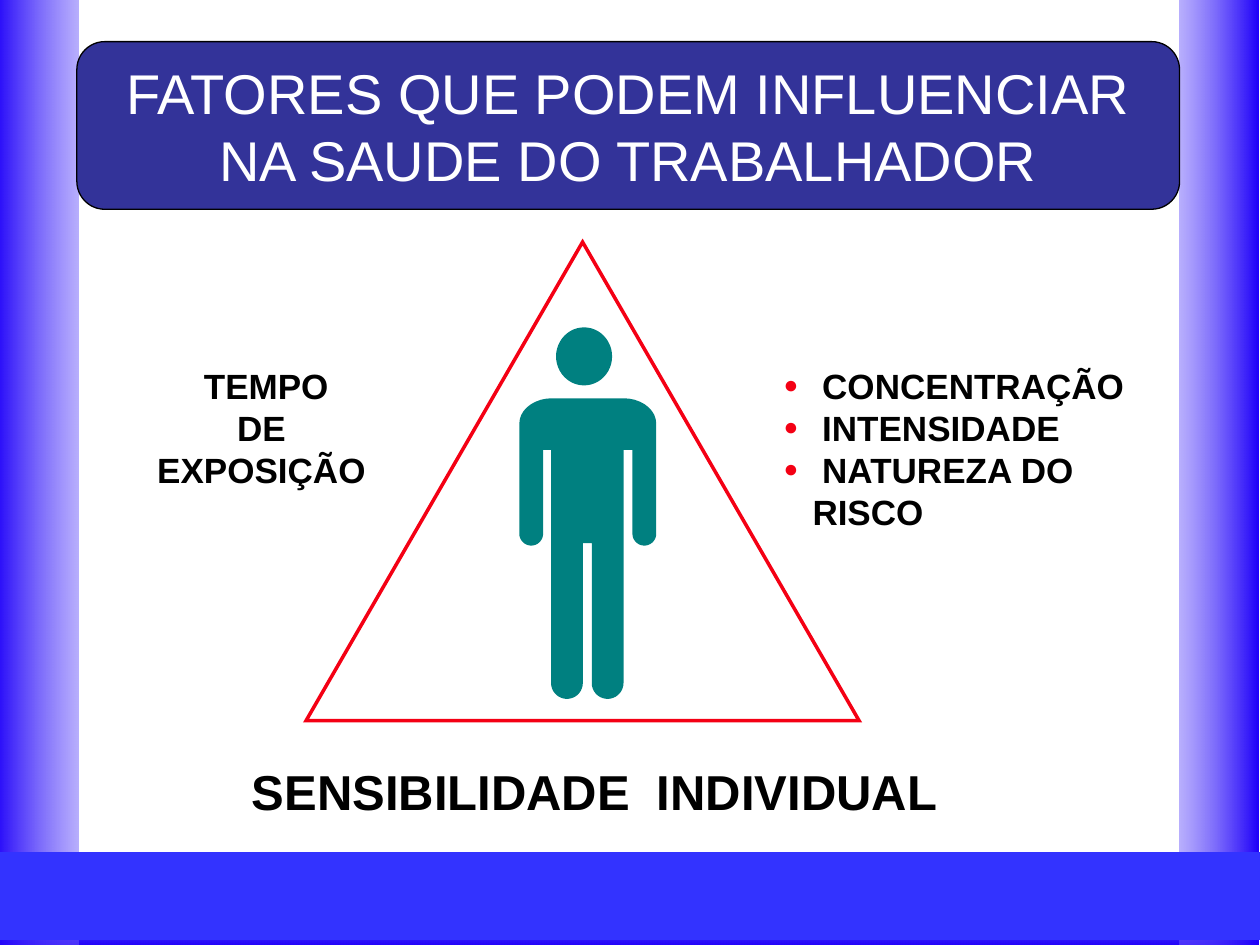
from dataclasses import dataclass
from math import cos, radians, sin

from lxml.etree import SubElement
from pptx import Presentation
from pptx.dml.color import RGBColor
from pptx.enum.shapes import MSO_CONNECTOR, MSO_SHAPE
from pptx.enum.text import MSO_ANCHOR, PP_ALIGN
from pptx.oxml.ns import qn
from pptx.util import Cm, Pt

COLORS = {
    "band": "1E00FA",
    "side_fade": "705DFC",
    "floor_fade": "8C7DFC",
    "footer": "3333FF",
    "title": "333399",
    "red": "F40014",
    "person": "008080",
    "black": "000000",
    "white": "FFFFFF",
}
FONT = "Arial"


@dataclass(frozen=True)
class Area:
    left: float
    top: float
    width: float
    height: float

    def lengths(self) -> tuple:
        return Cm(self.left), Cm(self.top), Cm(self.width), Cm(self.height)


@dataclass(frozen=True)
class Band:
    area: Area
    fade: str
    angle: int


@dataclass(frozen=True)
class Label:
    area: Area
    lines: tuple
    size: int
    align: PP_ALIGN = PP_ALIGN.LEFT
    bold: bool = True
    color: str = "black"
    bulleted: bool = False
    wrap: bool = False


@dataclass(frozen=True)
class Arc:
    x: float
    y: float
    radius_x: float
    radius_y: float
    start: int
    sweep: int

    def points(self) -> list:
        steps = self.sweep // 10
        angles = [radians(self.start + 10 * step) for step in range(steps + 1)]
        return [(self.x + self.radius_x * cos(angle), self.y + self.radius_y * sin(angle))
                for angle in angles]


def rgb(name: str) -> RGBColor:
    return RGBColor.from_string(COLORS[name])


def paint(shape, fill: str, line: str = "", width: float = 0) -> None:
    shape.shadow.inherit = False
    shape.fill.solid()
    shape.fill.fore_color.rgb = rgb(fill)
    if line:
        shape.line.color.rgb = rgb(line)
        shape.line.width = Pt(width)
        outline = shape.element.spPr.find(qn("a:ln"))
        SubElement(outline, qn("a:miter")).set("lim", "800000")
    else:
        shape.line.fill.background()


def add_band(page, band: Band) -> None:
    shape = page.shapes.add_shape(MSO_SHAPE.RECTANGLE, *band.area.lengths())
    paint(shape, "band")
    shape.fill.gradient()
    shape.fill.gradient_angle = band.angle
    first, last = shape.fill.gradient_stops
    first.color.rgb, first.position = rgb("band"), 0
    last.color.rgb, last.position = rgb(band.fade), 1
    last_color = shape.element.spPr.findall(".//" + qn("a:srgbClr"))[-1]
    SubElement(last_color, qn("a:alpha")).set("val", "49000")


def add_bullet(para) -> None:
    properties = para._p.get_or_add_pPr()
    properties.set("marL", str(Cm(0.58)))
    properties.set("indent", str(-Cm(0.58)))
    color = SubElement(properties, qn("a:buClr"))
    SubElement(color, qn("a:srgbClr")).set("val", COLORS["red"])
    SubElement(properties, qn("a:buSzPct")).set("val", "70000")
    SubElement(properties, qn("a:buFont")).set("typeface", FONT)
    SubElement(properties, qn("a:buChar")).set("char", "●")


def write(box, label: Label) -> None:
    frame = box.text_frame
    frame.word_wrap = label.wrap
    for index, line in enumerate(label.lines):
        para = frame.paragraphs[0] if index == 0 else frame.add_paragraph()
        para.alignment = label.align
        if label.bulleted:
            add_bullet(para)
        span = para.add_run()
        span.text = line
        span.font.name = FONT
        span.font.size = Pt(label.size)
        span.font.bold = label.bold
        span.font.color.rgb = rgb(label.color)


def add_label(page, label: Label) -> None:
    write(page.shapes.add_textbox(*label.area.lengths()), label)


def add_title(page, label: Label) -> None:
    box = page.shapes.add_shape(MSO_SHAPE.ROUNDED_RECTANGLE, *label.area.lengths())
    paint(box, "title", "black", 0.75)
    box.text_frame.vertical_anchor = MSO_ANCHOR.MIDDLE
    write(box, label)


def add_person(page) -> None:
    hand, foot = 0.24, 0.32
    left_shoulder = Arc(11.13, 8.54, 0.66, 0.51, 180, 90)
    right_shoulder = Arc(12.57, 8.54, 0.66, 0.51, 270, 90)
    right_hand = Arc(12.99, 10.76, hand, hand, 0, 180)
    right_foot = Arc(12.25, 13.77, foot, foot, 0, 180)
    left_foot = Arc(11.43, 13.77, foot, foot, 0, 180)
    left_hand = Arc(10.71, 10.76, hand, hand, 0, 180)
    outline = [
        *left_shoulder.points(), *right_shoulder.points(), *right_hand.points(),
        (12.75, 9.07), (12.57, 9.07), *right_foot.points(),
        (11.93, 10.95), (11.75, 10.95), *left_foot.points(),
        (11.11, 9.07), (10.95, 9.07), *left_hand.points(),
    ]
    start, *rest = [(Cm(x), Cm(y)) for x, y in outline]
    person = page.shapes.add_group_shape()
    builder = person.shapes.build_freeform(*start)
    builder.add_line_segments(rest, close=True)
    paint(builder.convert_to_shape(), "person")
    head = Area(11.21, 6.6, 1.13, 1.17)
    paint(person.shapes.add_shape(MSO_SHAPE.OVAL, *head.lengths()), "person")


def add_footer(page) -> None:
    footer = page.shapes.add_connector(
        MSO_CONNECTOR.STRAIGHT, Cm(0), Cm(18.06), Cm(25.4), Cm(18.06))
    footer.line.color.rgb = rgb("footer")
    footer.line.width = Pt(50)
    SubElement(footer.element.spPr, qn("a:effectLst"))


BANDS = (
    Band(Area(-0.02, 17.36, 25.4, 1.7), "floor_fade", 90),
    Band(Area(23.77, 0, 1.61, 19.05), "side_fade", 180),
    Band(Area(-0.12, 0, 1.71, 19.05), "side_fade", 0),
)
LABELS = (
    Label(Area(2.62, 7.22, 5.3, 2.79), (" TEMPO", "DE", "EXPOSIÇÃO"), 20, PP_ALIGN.CENTER),
    Label(Area(4.83, 15.22, 14.33, 1.42), ("SENSIBILIDADE  INDIVIDUAL",), 28),
    Label(Area(15.55, 7.22, 7.9, 2.79),
          (" CONCENTRAÇÃO", " INTENSIDADE", " NATUREZA DO RISCO"), 20, bulleted=True, wrap=True),
)
TITLE = Label(
    Area(1.55, 0.84, 22.23, 3.38), ("FATORES QUE PODEM INFLUENCIAR NA SAUDE DO TRABALHADOR",),
    32, PP_ALIGN.CENTER, bold=False, color="white", wrap=True)


def main() -> None:
    deck = Presentation()
    deck.slide_width, deck.slide_height = Cm(25.4), Cm(19.05)
    page = deck.slides.add_slide(deck.slide_layouts[6])
    for band in BANDS:
        add_band(page, band)
    triangle = Area(6.17, 4.88, 11.15, 9.65)
    paint(page.shapes.add_shape(MSO_SHAPE.ISOSCELES_TRIANGLE, *triangle.lengths()),
          "white", "red", 2)
    add_person(page)
    for label in LABELS:
        add_label(page, label)
    add_title(page, TITLE)
    add_footer(page)
    deck.save("out.pptx")


if __name__ == "__main__":
    main()
